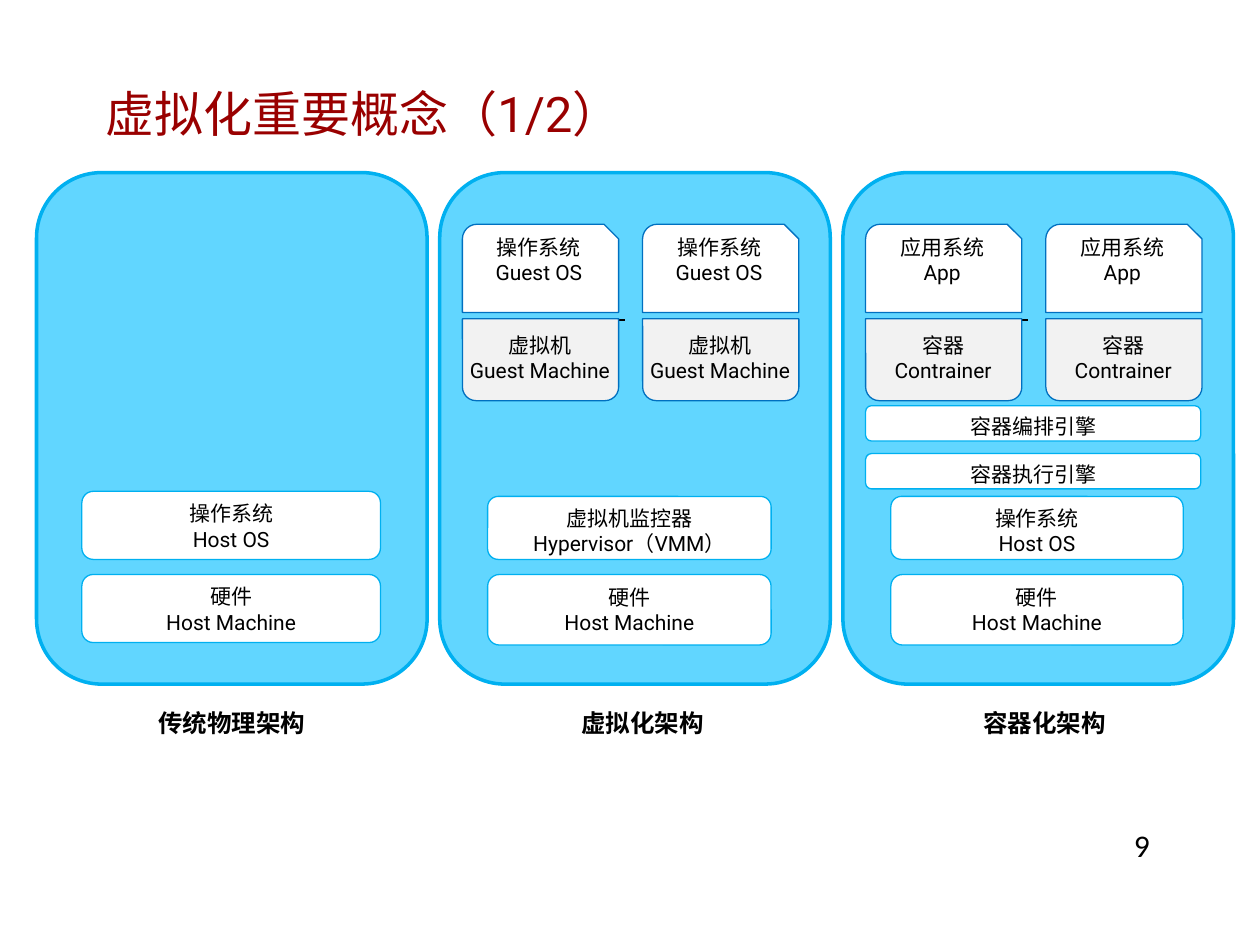
from lxml.etree import SubElement
from pptx import Presentation
from pptx.dml.color import RGBColor
from pptx.enum.shapes import MSO_CONNECTOR, MSO_SHAPE
from pptx.enum.text import MSO_ANCHOR, PP_ALIGN
from pptx.oxml.ns import qn
from pptx.util import Pt

SCALE = 9144
COLORS = {
    "title": "990000", "text": "000000", "panel": "61D6FF", "panel_line": "00B0F0",
    "white": "FFFFFF", "machine": "F2F2F2", "unit_line": "0070C0",
}
TITLE = {"size": Pt(28), "name": "Roboto"}
LABEL = {"size": Pt(12), "name": "Roboto"}
CAPTION = {"size": Pt(14), "name": "Roboto", "bold": True}
NUMBER = {"size": Pt(18), "name": "Calibri"}
PANEL_TOP, PANEL_WIDTH, PANEL_HEIGHT = 137, 310, 406
UNIT_WIDTH, UNIT_LABEL_WIDTH = 124, 161

PANELS = [
    {
        "caption": ("传统物理架构", 85, 140),
        "layers": [
            ("硬件\nHost Machine", 36, 319, 237, 54),
            ("操作系统\nHost OS", 36, 253, 237, 54),
        ],
    },
    {
        "caption": ("虚拟化架构", 101, 120),
        "layers": [
            ("硬件\nHost Machine", 38, 319, 225, 56),
            ("虚拟机监控器\nHypervisor（VMM）", 38, 257, 225, 50),
        ],
        "units": ("操作系统\nGuest OS", "虚拟机\nGuest Machine", (18, 161)),
    },
    {
        "caption": ("容器化架构", 100, 120),
        "layers": [
            ("硬件\nHost Machine", 38, 319, 232, 56),
            ("操作系统\nHost OS", 38, 257, 232, 50),
            ("容器编排引擎", 18, 185, 266, 28),
            ("容器执行引擎", 18, 223, 266, 28),
        ],
        "units": ("应用系统\nApp", "容器\nContrainer", (18, 161)),
    },
]


def emu(*lengths):
    """Turn px lengths into EMU."""
    return [length * SCALE for length in lengths]


def color(name):
    """Look up a named colour."""
    return RGBColor.from_string(COLORS[name])


def write(shape, text, style, ink="text", align=PP_ALIGN.CENTER, anchor=MSO_ANCHOR.TOP, wrap=True):
    """Put formatted text into a shape."""
    frame = shape.text_frame
    frame.text = text
    frame.word_wrap = wrap
    frame.vertical_anchor = anchor
    for paragraph in frame.paragraphs:
        paragraph.alignment = align
        for run in paragraph.runs:
            run.font.color.rgb = color(ink)
            for attribute, value in style.items():
                setattr(run.font, attribute, value)


def add_box(shapes, kind, box, fill, line, width=0.75):
    """Add a filled and outlined preset shape."""
    shape = shapes.add_shape(kind, *emu(*box))
    shape.shadow.inherit = False
    shape.fill.solid()
    shape.fill.fore_color.rgb = color(fill)
    shape.line.color.rgb = color(line)
    shape.line.width = Pt(width)
    return shape


def add_label(shapes, box, text, style, **options):
    """Add a text box with side insets of 11 px."""
    label = shapes.add_textbox(*emu(*box))
    label.text_frame.margin_left = label.text_frame.margin_right = 11 * SCALE
    write(label, text, style, **options)


def add_divider(slide, left, top, width):
    """Draw the thin line between guests and machines."""
    line = slide.shapes.add_connector(
        MSO_CONNECTOR.STRAIGHT, *emu(left, top, left + width, top)
    )
    line.line.color.rgb = color("text")
    line.line.width = Pt(0.75)
    SubElement(line._element.spPr, qn("a:effectLst"))


def add_unit(slide, left, top, guest, machine):
    """Group a guest with the machine below it."""
    shapes = slide.shapes.add_group_shape().shapes
    upper = add_box(shapes, MSO_SHAPE.SNIP_ROUND_RECTANGLE,
                    (left, top, UNIT_WIDTH, 70), "white", "unit_line")
    write(upper, guest, LABEL)
    lower = add_box(shapes, MSO_SHAPE.ROUND_2_SAME_RECTANGLE,
                    (left, top + 75, UNIT_WIDTH, 65), "machine", "unit_line")
    lower.rotation = 180
    label_left = left + (UNIT_WIDTH - UNIT_LABEL_WIDTH) // 2
    add_label(shapes, (label_left, top + 81, UNIT_LABEL_WIDTH, 50), machine, LABEL)


def add_panel(slide, box, panel):
    """Build one architecture column with its caption."""
    left, top, width, height = box
    add_box(slide.shapes, MSO_SHAPE.ROUNDED_RECTANGLE, box, "panel", "panel_line", 2)
    for text, x, y, layer_width, layer_height in panel["layers"]:
        layer = add_box(slide.shapes, MSO_SHAPE.ROUNDED_RECTANGLE,
                        (left + x, top + y, layer_width, layer_height), "white", "panel_line")
        write(layer, text, LABEL)
    if "units" in panel:
        guest, machine, offsets = panel["units"]
        add_divider(slide, left + 29, top + 117, 118)
        for offset in offsets:
            add_unit(slide, left + offset, top + 41, guest, machine)
    caption, x, caption_width = panel["caption"]
    add_label(slide.shapes, (left + x, top + height + 14, caption_width, 35),
              caption, CAPTION, wrap=False)


def add_title(slide, box):
    """Place and fill the title placeholder."""
    title = slide.shapes.title
    title.left, title.top, title.width, title.height = emu(*box)
    margins = {"margin_left": 9, "margin_right": 9, "margin_top": 4, "margin_bottom": 4}
    for attribute, value in margins.items():
        setattr(title.text_frame, attribute, value * SCALE)
    write(title, "虚拟化重要概念（1/2）", TITLE, "title", PP_ALIGN.LEFT, MSO_ANCHOR.MIDDLE)


def add_number(slide, box):
    """Add the page number."""
    number = slide.shapes.add_textbox(*emu(*box))
    write(number, "9", NUMBER, align=PP_ALIGN.LEFT)


def main():
    """Build and save the slide."""
    presentation = Presentation()
    presentation.slide_width, presentation.slide_height = emu(1000, 750)
    slide = presentation.slides.add_slide(presentation.slide_layouts[5])
    add_title(slide, (75, 42, 866, 95))
    for index, panel in enumerate(PANELS):
        left = 29 + index * (PANEL_WIDTH + 10)
        add_panel(slide, (left, PANEL_TOP, PANEL_WIDTH, PANEL_HEIGHT), panel)
    add_number(slide, (890, 651, 166, 36))
    presentation.save("out.pptx")


if __name__ == "__main__":
    main()
